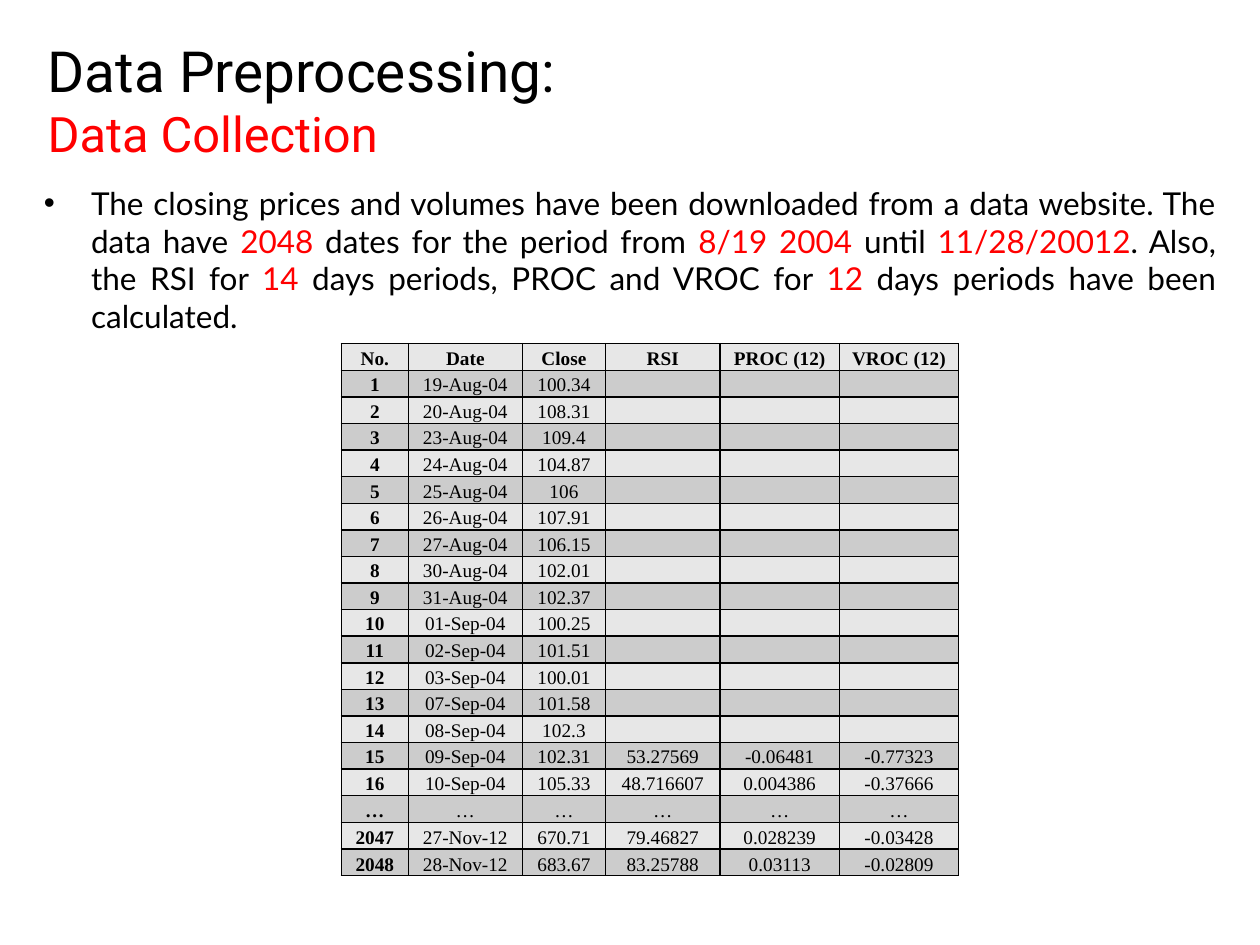
"""Build the data collection slide with its price and indicator table."""
import dataclasses
import typing

import lxml.etree
import pptx
import pptx.dml.color
import pptx.enum.text
import pptx.oxml.ns
import pptx.util

Pt = pptx.util.Pt
qn = pptx.oxml.ns.qn
Align = pptx.enum.text.PP_ALIGN
Anchor = pptx.enum.text.MSO_ANCHOR


@dataclasses.dataclass(frozen=True)
class Theme:
    ink: str = "000000"
    accent: str = "FF0000"
    light_row: str = "E7E7E7"
    dark_row: str = "CCCCCC"
    title_font: str = "Roboto"
    body_font: str = "Lato"
    table_font: str = "Times New Roman"
    title_size: float = 32.4
    subtitle_size: float = 27.9
    body_size: float = 18
    table_size: float = 11
    border_width: float = 1


class Record(typing.NamedTuple):
    number: str
    date: str
    close: str
    rsi: str = ""
    proc: str = ""
    vroc: str = ""


class Phrase(typing.NamedTuple):
    text: str
    highlighted: bool = False


THEME = Theme()
COLUMN_WIDTHS = (38.2, 65.3, 47.4, 65.5, 68.2, 68.2)
ROW_HEIGHT = 14.1
BOTTOM_ANCHORED = ("2047", "2048")

SUMMARY = (
    Phrase("The closing prices and volumes have been downloaded from a data website. The data have "),
    Phrase("2048", True),
    Phrase(" dates for the period from "),
    Phrase("8/19 2004 ", True),
    Phrase("until "),
    Phrase("11/28/20012", True),
    Phrase(". Also, the RSI for "),
    Phrase("14", True),
    Phrase(" days periods, PROC and VROC for "),
    Phrase("12 ", True),
    Phrase("days periods have been calculated."),
)

RECORDS = (
    Record("No.", "Date", "Close", "RSI", "PROC (12)", "VROC (12)"),
    Record("1", "19-Aug-04", "100.34"),
    Record("2", "20-Aug-04", "108.31"),
    Record("3", "23-Aug-04", "109.4"),
    Record("4", "24-Aug-04", "104.87"),
    Record("5", "25-Aug-04", "106"),
    Record("6", "26-Aug-04", "107.91"),
    Record("7", "27-Aug-04", "106.15"),
    Record("8", "30-Aug-04", "102.01"),
    Record("9", "31-Aug-04", "102.37"),
    Record("10", "01-Sep-04", "100.25"),
    Record("11", "02-Sep-04", "101.51"),
    Record("12", "03-Sep-04", "100.01"),
    Record("13", "07-Sep-04", "101.58"),
    Record("14", "08-Sep-04", "102.3"),
    Record("15", "09-Sep-04", "102.31", "53.27569", "-0.06481", "-0.77323"),
    Record("16", "10-Sep-04", "105.33", "48.716607", "0.004386", "-0.37666"),
    Record("…", "…", "…", "…", "…", "…"),
    Record("2047", "27-Nov-12", "670.71", "79.46827", "0.028239", "-0.03428"),
    Record("2048", "28-Nov-12", "683.67", "83.25788", "0.03113", "-0.02809"),
)


def add_text(paragraph, text: str, *, font: str, size: float,
             color: str = THEME.ink, bold: bool = False) -> None:
    run = paragraph.add_run()
    run.text = text
    run.font.name = font
    run.font.size = Pt(size)
    run.font.bold = bold
    run.font.color.rgb = pptx.dml.color.RGBColor.from_string(color)


def add_title(slide) -> None:
    frame = slide.shapes.add_textbox(Pt(20.2), Pt(9.4), Pt(684), Pt(90)).text_frame
    frame.word_wrap = True
    frame.vertical_anchor = Anchor.MIDDLE
    frame.margin_top = Pt(8.2)
    heading = frame.paragraphs[0]
    add_text(heading, "Data Preprocessing:", font=THEME.title_font, size=THEME.title_size)
    heading.add_line_break()
    add_text(heading, "Data Collection", font=THEME.title_font,
             size=THEME.subtitle_size, color=THEME.accent)


def add_summary(slide) -> None:
    frame = slide.shapes.add_textbox(Pt(18), Pt(101.5), Pt(684), Pt(348.5)).text_frame
    frame.word_wrap = True
    summary = frame.paragraphs[0]
    summary.alignment = Align.JUSTIFY
    properties = summary._p.get_or_add_pPr()
    properties.set("marL", str(Pt(27)))
    properties.set("indent", str(-Pt(27)))
    lxml.etree.SubElement(properties, qn("a:buFont"), typeface="Arial")
    lxml.etree.SubElement(properties, qn("a:buChar"), char="•")
    for phrase in SUMMARY:
        add_text(summary, phrase.text, font=THEME.body_font, size=THEME.body_size,
                 color=THEME.accent if phrase.highlighted else THEME.ink)


def add_borders(cell) -> None:
    properties = cell._tc.get_or_add_tcPr()
    for position, side in enumerate(("a:lnL", "a:lnR", "a:lnT", "a:lnB")):
        border = lxml.etree.Element(qn(side), w=str(Pt(THEME.border_width)))
        fill = lxml.etree.SubElement(border, qn("a:solidFill"))
        lxml.etree.SubElement(fill, qn("a:srgbClr"), val=THEME.ink)
        properties.insert(position, border)


def fill_cell(cell, text: str, *, fill: str, bold: bool, anchor: Anchor) -> None:
    cell.fill.solid()
    cell.fill.fore_color.rgb = pptx.dml.color.RGBColor.from_string(fill)
    add_borders(cell)
    cell.margin_left = cell.margin_right = Pt(5)
    cell.margin_top = cell.margin_bottom = Pt(0)
    cell.vertical_anchor = anchor
    value = cell.text_frame.paragraphs[0]
    value.alignment = Align.CENTER
    value.line_spacing = 1.15
    if text:
        add_text(value, text, font=THEME.table_font, size=THEME.table_size, bold=bold)
    else:
        lxml.etree.SubElement(value._p, qn("a:endParaRPr"), sz=str(THEME.table_size * 100))


def add_price_table(slide, records: typing.Sequence[Record]) -> None:
    prices = slide.shapes.add_table(
        len(records), len(COLUMN_WIDTHS), Pt(195.1), Pt(196.4),
        Pt(sum(COLUMN_WIDTHS)), Pt(ROW_HEIGHT * len(records))).table
    prices.first_row = prices.horz_banding = False
    for column, width in zip(prices.columns, COLUMN_WIDTHS):
        column.width = Pt(width)
    for row_index, record in enumerate(records):
        prices.rows[row_index].height = Pt(ROW_HEIGHT)
        for column_index, text in enumerate(record):
            fill_cell(
                prices.cell(row_index, column_index), text,
                fill=THEME.dark_row if row_index % 2 else THEME.light_row,
                bold=row_index == 0 or column_index == 0,
                anchor=Anchor.BOTTOM if record.number in BOTTOM_ANCHORED else Anchor.MIDDLE)


def main() -> None:
    presentation = pptx.Presentation()
    presentation.slide_width = Pt(720)
    presentation.slide_height = Pt(540)
    slide = presentation.slides.add_slide(presentation.slide_layouts[6])
    add_summary(slide)
    add_title(slide)
    add_price_table(slide, RECORDS)
    presentation.save("out.pptx")


if __name__ == "__main__":
    main()
